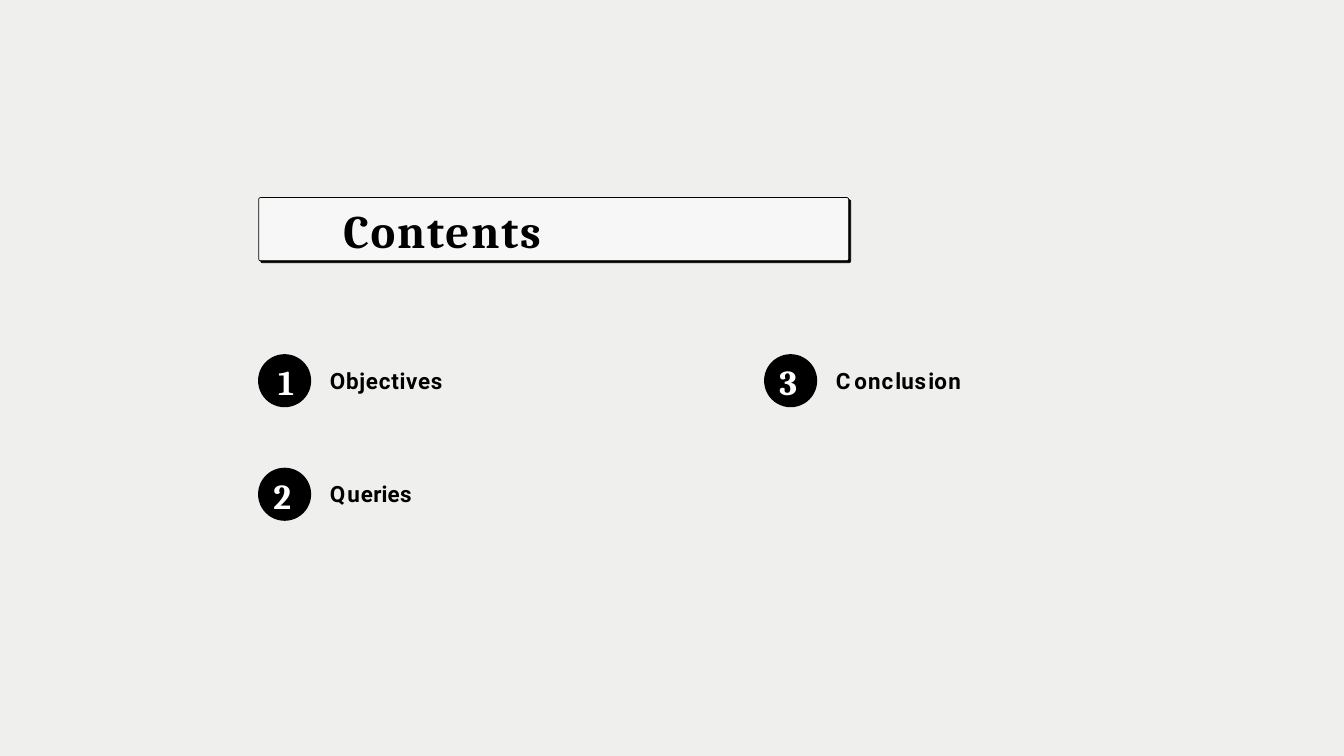
from pptx import Presentation
from pptx.dml.color import RGBColor
from pptx.enum.shapes import MSO_SHAPE
from pptx.enum.text import MSO_AUTO_SIZE
from pptx.util import Inches, Pt


def rgb(value):
    return RGBColor.from_string(value)


def add_text(s, x, y, w, h, runs, font, size, color, top):
    """Add a bold line; runs are (text, letter spacing in points)."""
    tb = s.shapes.add_textbox(Inches(x), Inches(y), Inches(w), Inches(h))
    tf = tb.text_frame
    tf.word_wrap = True
    tf.auto_size = MSO_AUTO_SIZE.SHAPE_TO_FIT_TEXT
    tf.margin_left = Inches(0.01)
    tf.margin_right = tf.margin_bottom = 0
    tf.margin_top = Inches(top)
    for text, spacing in runs:
        r = tf.paragraphs[0].add_run()
        r.text = text
        r.font.name = font
        r.font.size = Pt(size)
        r.font.bold = True
        r.font.color.rgb = rgb(color)
        r._r.get_or_add_rPr().set("spc", str(round(spacing * 100)))


prs = Presentation()
prs.slide_width, prs.slide_height = Inches(20), Inches(11.25)
s = prs.slides.add_slide(prs.slide_layouts[6])
s.background.fill.solid()
s.background.fill.fore_color.rgb = rgb("EFEFED")

# Title plate: black offset plate below, light plate above
for x, y, fill in [(3.88, 2.97, "000000"), (3.85, 2.94, "F7F7F7")]:
    sp = s.shapes.add_shape(MSO_SHAPE.ROUNDED_RECTANGLE,
                            Inches(x), Inches(y), Inches(8.78), Inches(0.94))
    sp.adjustments[0] = 0.03
    sp.shadow.inherit = False
    sp.fill.solid()
    sp.fill.fore_color.rgb = rgb(fill)
    sp.line.color.rgb = rgb("000000")
    sp.line.width = Pt(0.75)
add_text(s, 5.1, 2.99, 3.08, 0.86, [("Contents", 2)], "Cambria", 50, "000000", 0.02)

# Numbered entries: left, top, number, its offset, width and spacing, label runs
entries = [
    (3.84, 5.27, "1", 0.29, 0.21, -9.3, [("Objectives", 0.8)]),
    (3.84, 6.96, "2", 0.22, 0.36, 1.6,
     [("Q", 2.2), ("u", 0.8), ("e", 0.6), ("r", -0.4), ("i", -0.8),
      ("e", 0.6), ("s", 2.5)]),
    (11.37, 5.27, "3", 0.22, 0.36, 1.4,
     [("C", 3.9), ("o", 1.4), ("n", 0.8), ("c", 2.3), ("l", -0.8),
      ("u", 0.8), ("s", 2.5), ("i", -0.8), ("o", 1.4), ("n", 0.8)]),
]
for x, y, number, dx, width, spacing, label in entries:
    sp = s.shapes.add_shape(MSO_SHAPE.OVAL, Inches(x), Inches(y),
                            Inches(0.79), Inches(0.79))
    sp.shadow.inherit = False
    sp.fill.solid()
    sp.fill.fore_color.rgb = rgb("000000")
    sp.line.fill.background()
    add_text(s, x + dx, y + 0.06, width, 0.66, [(number, spacing)],
             "Cambria", 37.5, "FFFFFF", 0.04)
    add_text(s, x + 1.06, y + 0.17, 1.89, 0.43, label, "Roboto", 24, "000000", 0.02)

prs.save("out.pptx")
